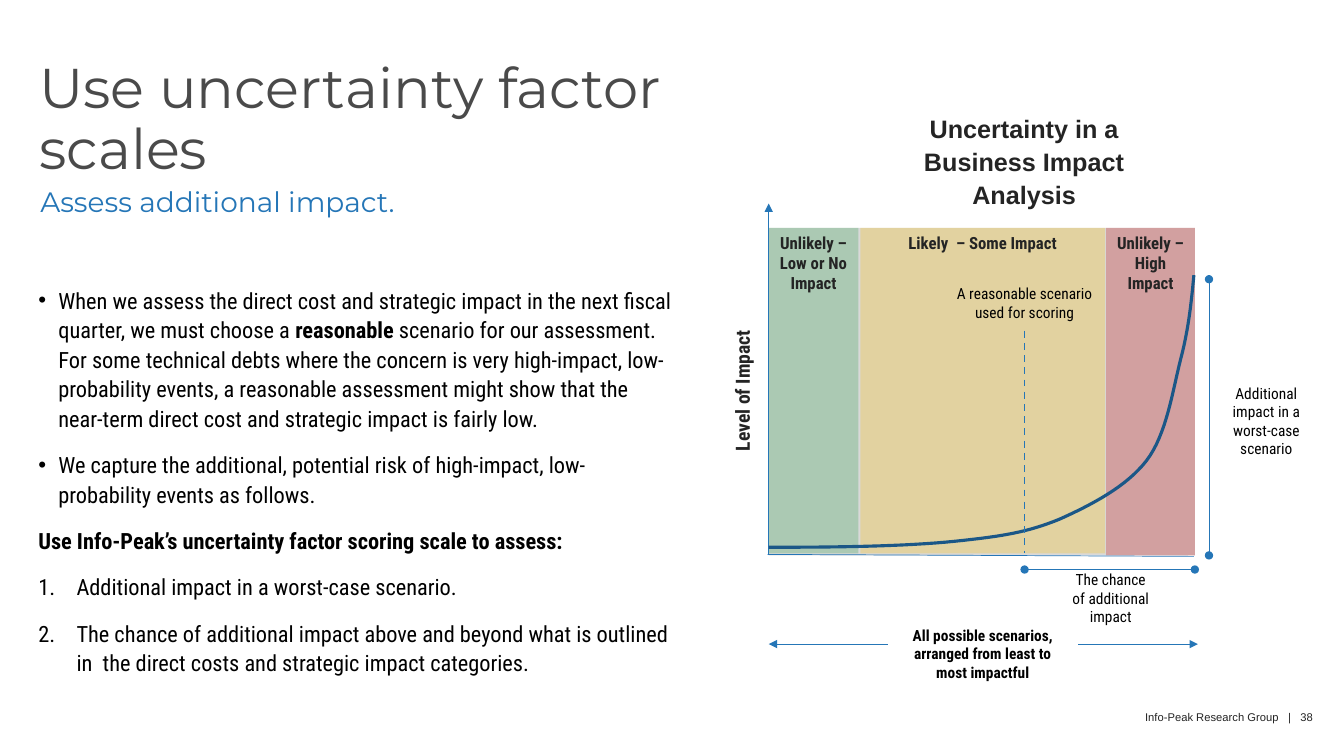
from lxml import etree
from pptx import Presentation
from pptx.dml.color import RGBColor
from pptx.enum import dml, shapes, text
from pptx.oxml import ns
from pptx.util import Inches, Pt

BLACK = RGBColor(0x00, 0x00, 0x00)
INK = RGBColor(0x24, 0x24, 0x24)
SLATE = RGBColor(0x4A, 0x4A, 0x4A)
BLUE = RGBColor(0x25, 0x76, 0xB7)
NAVY = RGBColor(0x1B, 0x57, 0x87)
GREY = RGBColor(0xD9, 0xD9, 0xD9)
GREEN = RGBColor(0x28, 0x9D, 0x48)
AMBER = RGBColor(0xFF, 0xC0, 0x00)
RED = RGBColor(0xC0, 0x00, 0x00)
CONDENSED = "Roboto Condensed"
LEFT, CENTER, RIGHT = text.PP_ALIGN.LEFT, text.PP_ALIGN.CENTER, text.PP_ALIGN.RIGHT


def write(para, spans, size, color, font=CONDENSED, align=CENTER, spacing=1.0):
    para.alignment = align
    para.line_spacing = spacing
    for words, bold in spans:
        span = para.add_run()
        span.text = words
        span.font.name = font
        span.font.size = Pt(size)
        span.font.bold = bold
        span.font.color.rgb = color


def draw_line(start, finish, width=0.5, head=None, tail=None, dash=None):
    line = page.shapes.add_connector(
        shapes.MSO_CONNECTOR.STRAIGHT, *map(Inches, start + finish))
    line.line.color.rgb = BLUE
    line.line.width = Pt(width)
    if dash:
        line.line.dash_style = dash
    outline = line.line._get_or_add_ln()
    for tag, kind in (("a:headEnd", head), ("a:tailEnd", tail)):
        if kind:
            etree.SubElement(outline, ns.qn(tag), type=kind)
    etree.SubElement(line._element.spPr, ns.qn("a:effectLst"))


deck = Presentation()
deck.slide_width, deck.slide_height = Inches(13.34), Inches(7.5)
page = deck.slides.add_slide(deck.slide_layouts[3])

title, subtitle, points = page.placeholders
for box, place in (
    (title, (0.39, 0.6, 6.96, 1.24)),
    (subtitle, (0.4, 1.8, 4.5, 0.73)),
    (points, (0.38, 2.82, 6.3, 3.85)),
):
    box.left, box.top, box.width, box.height = map(Inches, place)
    frame = box.text_frame
    frame.margin_left = frame.margin_top = frame.margin_right = frame.margin_bottom = 0
    frame.vertical_anchor = text.MSO_ANCHOR.TOP
    frame.auto_size = text.MSO_AUTO_SIZE.NONE
    frame.word_wrap = True

write(title.text_frame.paragraphs[0], [("Use uncertainty factor scales", False)],
      40, SLATE, "Montserrat", LEFT, 0.9)

para = subtitle.text_frame.paragraphs[0]
props = para._p.get_or_add_pPr()
props.set("marL", "0")
props.set("indent", "0")
etree.SubElement(props, ns.qn("a:buNone"))
para.space_before = Pt(0)
write(para, [("Assess additional impact.", False)], 20, BLUE, "Montserrat", LEFT, 1.1)

BULLET = ("a:buChar", {"char": "•"}, 0.2)
NUMBER = ("a:buAutoNum", {"type": "arabicPeriod"}, 0.38)
PLAIN = ("a:buNone", {}, 0)
items = [
    (BULLET, [
        ("When we assess the direct cost and strategic impact in the next fiscal "
         "quarter, we must choose a ", False),
        ("reasonable", True),
        (" scenario for our assessment. For some technical debts where the concern is "
         "very high-impact, low-probability events, a reasonable assessment might show "
         "that the near-term direct cost and strategic impact is fairly low.", False)]),
    (BULLET, [("We capture the additional, potential risk of high-impact, "
               "low-probability events as follows.", False)]),
    (PLAIN, [("Use Info-Peak’s uncertainty factor scoring scale to assess:", True)]),
    (NUMBER, [("Additional impact in a worst-case scenario.", False)]),
    (NUMBER, [("The chance of additional impact above and beyond what is outlined in  "
               "the direct costs and strategic impact categories.", False)]),
]
for index, ((tag, attributes, indent), spans) in enumerate(items):
    frame = points.text_frame
    para = frame.add_paragraph() if index else frame.paragraphs[0]
    props = para._p.get_or_add_pPr()
    props.set("marL", str(Inches(indent)))
    props.set("indent", str(-Inches(indent)))
    etree.SubElement(props, ns.qn(tag), attributes)
    para.space_before = Pt(6 if index else 0)
    para.space_after = Pt(6)
    write(para, spans, 16, BLACK, align=LEFT, spacing=1.1)

zones = [
    (7.63, 4.23, 3.25, GREY, None, ""),
    (7.63, 0.89, 3.23, GREEN, 26, "Unlikely – Low or No Impact"),
    (10.98, 0.88, 3.25, RED, 26, "Unlikely – High Impact"),
    (8.54, 2.43, 3.23, AMBER, 26, "Likely  – Some Impact"),
]
for left, width, height, color, opacity, label in zones:
    zone = page.shapes.add_shape(
        shapes.MSO_SHAPE.RECTANGLE, *map(Inches, (left, 2.26, width, height)))
    zone.shadow.inherit = False
    zone.line.fill.background()
    zone.fill.solid()
    zone.fill.fore_color.rgb = color
    if opacity:
        tint = zone._element.spPr.find(".//" + ns.qn("a:srgbClr"))
        etree.SubElement(tint, ns.qn("a:alpha"), val=str(opacity * 1000))
    if label:
        zone.text_frame.vertical_anchor = text.MSO_ANCHOR.TOP
        write(zone.text_frame.paragraphs[0], [(label, True)], 12, INK)

draw_line((7.63, 5.5), (7.63, 2.02), tail="triangle")
draw_line((7.62, 5.5), (11.85, 5.52))

knots = [
    (7.63, 5.43), (8.32, 5.43), (9, 5.42), (9.48, 5.37),
    (9.96, 5.32), (10.2, 5.28), (10.52, 5.15),
    (10.83, 5.01), (11.18, 4.83), (11.38, 4.57),
    (11.58, 4.31), (11.64, 3.87), (11.72, 3.56),
    (11.8, 3.26), (11.83, 2.95), (11.85, 2.73),
]
STEPS = 16
trail = []
for first in range(0, len(knots) - 1, 3):
    for step in range(1, STEPS + 1):
        t = step / STEPS
        weights = ((1 - t) ** 3, 3 * t * (1 - t) ** 2, 3 * t ** 2 * (1 - t), t ** 3)
        trail.append(tuple(
            Inches(sum(w * knot[axis] for w, knot in zip(weights, knots[first:first + 4])))
            for axis in (0, 1)))
builder = page.shapes.build_freeform(*map(Inches, knots[0]))
builder.add_line_segments(trail, close=False)
curve = builder.convert_to_shape()
curve.shadow.inherit = False
curve.fill.background()
curve.line.color.rgb = NAVY
curve.line.width = Pt(2.25)

draw_line((10.17, 3.28), (10.17, 5.49), 1.25, dash=dml.MSO_LINE.DASH)
draw_line((10.7, 6.39), (11.89, 6.39), tail="triangle")
draw_line((8.81, 6.39), (7.63, 6.39), tail="triangle")
draw_line((10.17, 5.65), (11.86, 5.65), head="oval", tail="oval")
draw_line((12, 2.77), (12, 5.51), head="oval", tail="oval")

labels = [
    ((8.7, 1.09, 2.93, 0.35), "Uncertainty in a Business Impact Analysis",
     18, True, INK, "Arial", 1.1, 0, 0),
    ((6.13, 3.72, 2.5, 0.31), "Level of Impact", 14, True, INK, CONDENSED, 1.1, 0, 270),
    ((9.31, 2.77, 1.72, 0.47), "A reasonable scenario used for scoring",
     11, False, BLACK, CONDENSED, 1.0, 0.1, 0),
    ((12.06, 3.76, 1.02, 0.84), "Additional impact in a worst-case scenario",
     11, False, BLACK, CONDENSED, 1.0, 0.1, 0),
    ((8.81, 6.16, 1.89, 0.66),
     "All possible scenarios, arranged from least to most impactful",
     11, True, BLACK, CONDENSED, 1.0, 0.1, 0),
    ((10.52, 5.61, 1.01, 0.66), "The chance of additional impact",
     11, False, BLACK, CONDENSED, 1.0, 0.1, 0),
]
for place, words, size, bold, color, font, spacing, margin, turn in labels:
    box = page.shapes.add_textbox(*map(Inches, place))
    box.rotation = turn
    frame = box.text_frame
    frame.word_wrap = True
    frame.margin_left = frame.margin_right = Inches(margin)
    frame.margin_top = frame.margin_bottom = Inches(margin / 2)
    write(frame.paragraphs[0], [(words, bold)], size, color, font, spacing=spacing)

footer = page.shapes.add_textbox(*map(Inches, (9.63, 7.05, 3.5, 0.13)))
frame = footer.text_frame
frame.word_wrap = True
frame.margin_left = frame.margin_top = frame.margin_bottom = 0
para = frame.paragraphs[0]
write(para, [(words, False) for words in ("Info-Peak Research Group", " ", "|", " ", "38")],
      8, INK, "Arial", RIGHT)
for span in para.runs:
    if span.text == " ":
        span.font._element.set("spc", "440")

deck.save("out.pptx")
